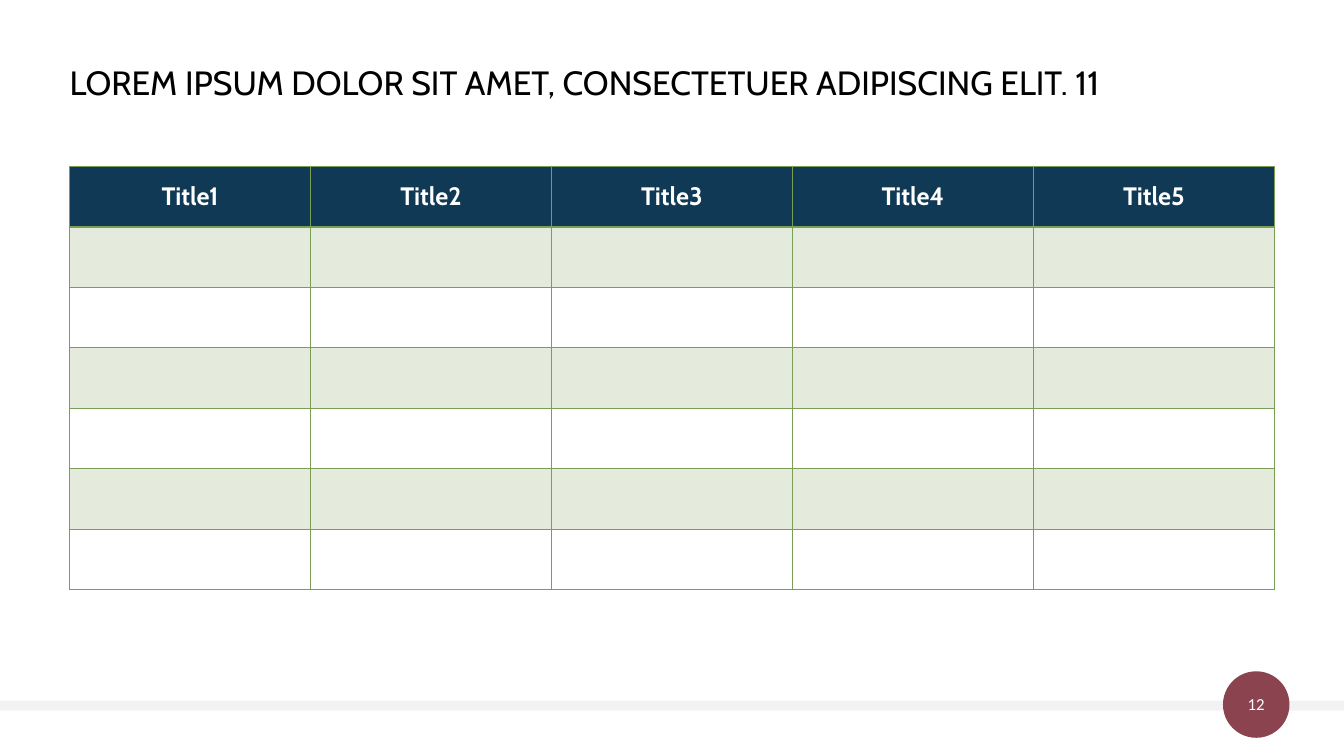
from lxml import etree
from pptx import Presentation, util as u
from pptx.dml.color import RGBColor
from pptx.enum import shapes, text
from pptx.oxml import ns

NAVY, GREEN, MAROON = "0F3955", "7A9E56", "8A434F"
GREY, WHITE, BLACK = "F2F2F2", "FFFFFF", "000000"
TITLES = ["Title1", "Title2", "Title3", "Title4", "Title5"]
ROWS, ROW_H, COL_W = 7, 0.6, 2.39
LEFT = 0.69


def paint(fill, colour):
    fill.solid()
    fill.fore_color.rgb = RGBColor.from_string(colour)


def write(frame, words, align, **font_format):
    paragraph = frame.paragraphs[0]
    paragraph.alignment = align
    run = paragraph.add_run()
    run.text = words
    colour = font_format.pop("colour")
    run.font.color.rgb = RGBColor.from_string(colour)
    for key, value in font_format.items():
        setattr(run.font, key, value)
    return paragraph


deck = Presentation()
deck.slide_width, deck.slide_height = u.Inches(13.33), u.Inches(7.5)
slide = deck.slides.add_slide(deck.slide_layouts[6])

# Footer band and page badge
footer = [
    (shapes.MSO_SHAPE.RECTANGLE, (0, 6.95, 13.33, 0.1), GREY),
    (shapes.MSO_SHAPE.OVAL, (12.13, 6.66, 0.66, 0.66), MAROON),
]
for outline, place, colour in footer:
    part = slide.shapes.add_shape(outline, *map(u.Inches, place))
    part.shadow.inherit = False
    part.line.fill.background()
    paint(part.fill, colour)

# Page number and heading
page_number = slide.shapes.add_textbox(*map(u.Inches, (12.13, 6.77, 0.66, 0.43)))
heading = slide.shapes.add_textbox(*map(u.Inches, (LEFT, 0.61, 11.83, 0.91)))
frames = [
    (page_number.text_frame, text.MSO_ANCHOR.MIDDLE, (0, 0, 0, 0)),
    (heading.text_frame, text.MSO_ANCHOR.TOP, (0, 0.05, 0.1, 0.05)),
]
for frame, anchor, insets in frames:
    frame.word_wrap = True
    frame.vertical_anchor = anchor
    for side, inset in zip(("left", "top", "right", "bottom"), insets):
        setattr(frame, f"margin_{side}", u.Inches(inset))

write(page_number.text_frame, "12", text.PP_ALIGN.CENTER,
      size=u.Pt(12), name="Calibri", colour=WHITE)
heading_line = write(
    heading.text_frame,
    "LOREM IPSUM DOLOR SIT AMET, CONSECTETUER ADIPISCING ELIT. 11",
    text.PP_ALIGN.LEFT, size=u.Pt(24), name="Cabin", colour=BLACK)
heading_line.line_spacing = 0.9

# Table grid
table = slide.shapes.add_table(
    ROWS, len(TITLES), u.Inches(LEFT), u.Inches(1.65),
    u.Inches(COL_W * len(TITLES)), u.Inches(ROW_H * ROWS)).table
table.first_row = table.horz_banding = False
for column in table.columns:
    column.width = u.Inches(COL_W)
for row in table.rows:
    row.height = u.Inches(ROW_H)

for r in range(ROWS):
    for c, title in enumerate(TITLES):
        cell = table.cell(r, c)
        cell_format = cell._tc.get_or_add_tcPr()

        # Header, tinted bands and clear bands
        if r == 0:
            paint(cell.fill, NAVY)
            cell.vertical_anchor = text.MSO_ANCHOR.MIDDLE
            write(cell.text_frame, title, text.PP_ALIGN.CENTER,
                  size=u.Pt(18), name="Cabin", bold=True, colour=WHITE)
        elif r % 2:
            paint(cell.fill, GREEN)
            tint = cell_format.find(".//" + ns.qn("a:srgbClr"))
            etree.SubElement(tint, ns.qn("a:alpha"), val="20000")
        else:
            cell.fill.background()

        # Borders, heavier between header and body
        for place, side in enumerate("LRTB"):
            heavy = (r, side) in [(0, "B"), (1, "T")]
            border = etree.Element(ns.qn(f"a:ln{side}"), w=str(u.Pt(2 if heavy else 1)))
            solid = etree.SubElement(border, ns.qn("a:solidFill"))
            etree.SubElement(solid, ns.qn("a:srgbClr"), val=GREEN)
            cell_format.insert(place, border)

deck.save("out.pptx")
